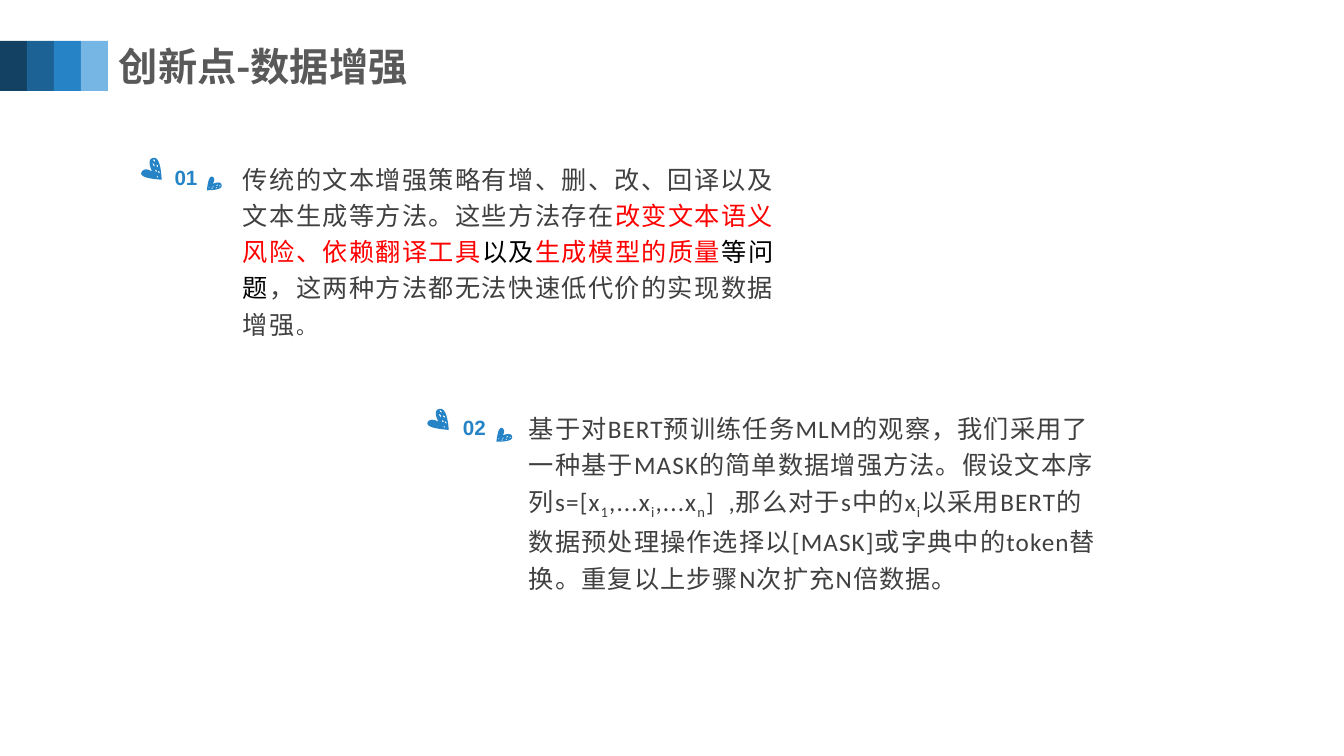
from math import hypot

from pptx import Presentation
from pptx.dml.color import RGBColor
from pptx.enum.shapes import MSO_SHAPE
from pptx.enum.text import MSO_ANCHOR, PP_ALIGN
from pptx.util import Emu, Pt
from lxml import etree

# ---- Content: lengths in px ----
COLORS = {"navy": "134163", "deep": "1D6294", "blue": "2683C6", "sky": "75B6E5",
          "title": "595959", "body": "404040", "red": "FF0000", "black": "000000"}
BAR_COLORS = ["navy", "deep", "blue", "sky"]
BAR_TOP, BAR_WIDTH, BAR_HEIGHT = 41, 27, 50

TITLE = {"text": "创新点-数据增强", "at": (109, 19, 353, 77)}

# Each span: text, changes from the body format
POINTS = [
    {"number": "02", "number_at": (451, 405, 47, 44), "body_at": (519, 402, 596, 203),
     "spacing": 80,
     "hearts": [((428, 409, 23, 20), 12.7), ((497, 429, 15, 15), 105.3)],
     "spans": [
         ("基于对BERT预训练任务MLM的观察，我们采用了一种基于MASK的简单数据增强方法。"
          "假设文本序列s=[x", {}),
         ("1", {"sub": True}), (",...x", {}), ("i", {"sub": True}), (",...x", {}),
         ("n", {"sub": True}), ("]  ,那么对于s中的x", {}), ("i", {"sub": True}),
         ("以采用BERT的数据预处理操作选择以[MASK]或字典中的token替换。"
          "重复以上步骤N次扩充N倍数据。", {})]},
    {"number": "01", "number_at": (164, 155, 44, 44), "body_at": (233, 153, 565, 207),
     "spacing": 100,
     "hearts": [((142, 158, 22, 21), 12.7), ((207, 178, 15, 14), 105.3)],
     "spans": [
         ("传统的文本增强策略有增、删、改、回译以及文本生成等方法。这些方法存在", {}),
         ("改变文本语义风险、依赖翻译工具", {"color": "red"}),
         ("以及", {"color": "black"}),
         ("生成模型的质量", {"color": "red"}),
         ("等问题", {"color": "black"}),
         ("，这两种方法都无法快速低代价的实现数据增强", {}),
         ("。", {"size": 14.4})]},
]

# Heart on a 100 by 100 grid: start, curves, and slits from end to end
HEART_START = (41, 1)
HEART_CURVES = [((8, 15), (50, 66), (50, 66)), ((50, 66), (15, 49), (3, 78)),
                ((-4, 110), (65, 98), (100, 94)), ((100, 94), (74, -18), (41, 1))]
HEART_SLITS = [((42, 6), (54, 18)), ((43, 24), (56, 41)), ((61, 53), (72, 63)),
               ((62, 27), (72, 40)), ((77, 79), (79, 89)), ((76, 54), (84, 67))]
SLIT_HALF_WIDTH = 4
CURVE_STEPS = 10

TITLE_FORMAT = {"font": "Noto Sans CJK SC", "size": 28, "bold": True, "color": "title"}
BODY_FORMAT = {"font": "Calibri", "size": 18, "bold": False, "color": "body"}
NUMBER_FORMAT = {"font": "Arial", "size": 14.7, "bold": True, "color": "blue"}

EMU_PER_PX = 914400 / 100.8


def px(length):
    return Emu(round(length * EMU_PER_PX))


def color(name):
    return RGBColor.from_string(COLORS[name])


def paint(shape, name):
    shape.shadow.inherit = False
    shape.fill.solid()
    shape.fill.fore_color.rgb = color(name)
    shape.line.fill.background()


def add_text(shapes, at, spans, base, frame_format, para_format, spacing=None):
    box = shapes.add_textbox(*map(px, at))
    frame = box.text_frame
    for key, value in {"word_wrap": True, **frame_format}.items():
        setattr(frame, key, value)
    para = frame.paragraphs[0]
    for key, value in para_format.items():
        setattr(para, key, value)
    for text, changes in spans:
        look = {**base, **changes}
        span = para.add_run()
        span.text = text
        for key, value in {"name": look["font"], "size": Pt(look["size"]),
                           "bold": look["bold"]}.items():
            setattr(span.font, key, value)
        span.font.color.rgb = color(look["color"])
        properties = span._r.get_or_add_rPr()
        if spacing:
            properties.set("spc", str(spacing))
        if look.get("sub"):
            properties.set("baseline", "-25000")
        if look["font"] == TITLE_FORMAT["font"]:
            namespace = etree.QName(properties).namespace
            east_asian = etree.SubElement(properties, f"{{{namespace}}}ea")
            east_asian.set("typeface", look["font"])


def heart_contours():
    outline = [HEART_START]
    for first, second, end in HEART_CURVES:
        start = outline[-1]
        for step in range(1, CURVE_STEPS + 1):
            t = step / CURVE_STEPS
            u = 1 - t
            outline.append(tuple(
                u**3 * a + 3 * u * u * t * b + 3 * u * t * t * c + t**3 * d
                for a, b, c, d in zip(start, first, second, end)))
    contours = [outline]
    for (x1, y1), (x2, y2) in HEART_SLITS:
        reach = SLIT_HALF_WIDTH / hypot(x2 - x1, y2 - y1)
        across, down = (y2 - y1) * reach, (x1 - x2) * reach
        middle_x, middle_y = (x1 + x2) / 2, (y1 + y2) / 2
        contours.append([(x1, y1), (middle_x + across, middle_y + down),
                         (x2, y2), (middle_x - across, middle_y - down)])
    return contours


def add_heart(shapes, at, rotation):
    left, top, width, height = at
    contours = [[(px(left + x * width / 100), px(top + y * height / 100))
                 for x, y in contour] for contour in heart_contours()]
    builder = shapes.build_freeform(*contours[0][0], scale=1.0)
    builder.add_line_segments(contours[0][1:], close=True)
    for contour in contours[1:]:
        builder.move_to(*contour[0])
        builder.add_line_segments(contour[1:], close=True)
    heart = builder.convert_to_shape()
    heart.rotation = rotation
    paint(heart, "blue")


def main():
    deck = Presentation()
    deck.slide_width, deck.slide_height = px(1344), px(756)
    page = deck.slides.add_slide(deck.slide_layouts[6])

    # Title and colour bars
    add_text(page.shapes, TITLE["at"], [(TITLE["text"], {})], TITLE_FORMAT,
             {}, {"line_spacing": 1.4})
    bars = page.shapes.add_group_shape().shapes
    for index, name in enumerate(BAR_COLORS):
        bar = bars.add_shape(MSO_SHAPE.RECTANGLE, px(index * BAR_WIDTH), px(BAR_TOP),
                             px(BAR_WIDTH), px(BAR_HEIGHT))
        paint(bar, name)

    # Numbered points
    for point in POINTS:
        add_text(page.shapes, point["body_at"], point["spans"], BODY_FORMAT, {},
                 {"line_spacing": 1.2, "space_after": Pt(8)}, point["spacing"])
        badge = page.shapes.add_group_shape().shapes
        add_text(badge, point["number_at"], [(point["number"], {})], NUMBER_FORMAT,
                 {"vertical_anchor": MSO_ANCHOR.MIDDLE}, {"alignment": PP_ALIGN.CENTER})
        for at, rotation in point["hearts"]:
            add_heart(badge, at, rotation)

    deck.save("out.pptx")


if __name__ == "__main__":
    main()
